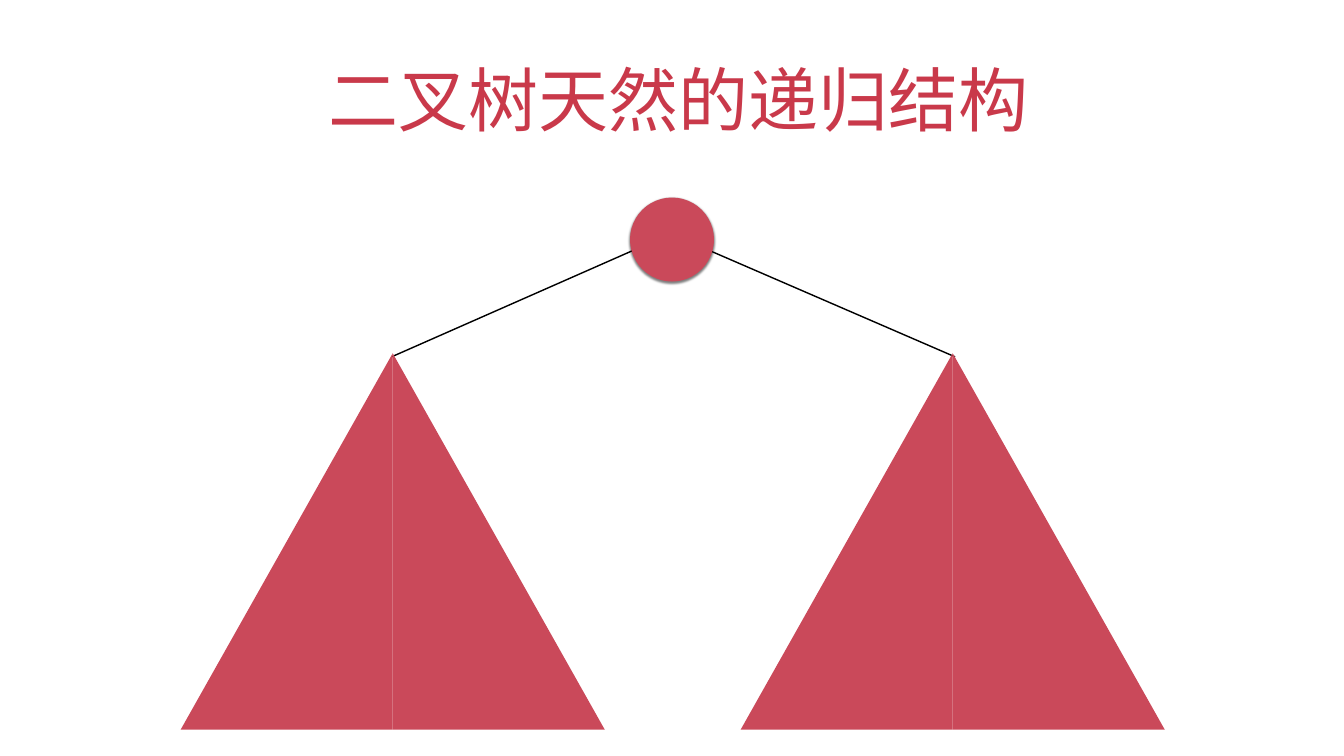
from dataclasses import dataclass

from lxml.etree import SubElement
from pptx import Presentation
from pptx.dml.color import RGBColor
from pptx.enum.shapes import MSO_CONNECTOR, MSO_SHAPE
from pptx.enum.text import MSO_ANCHOR, MSO_AUTO_SIZE, PP_ALIGN
from pptx.oxml.ns import qn
from pptx.util import Pt


@dataclass(frozen=True)
class Theme:
    """Colours, font and type size of the slide."""

    title: RGBColor = RGBColor(0xC9, 0x39, 0x4A)
    node: RGBColor = RGBColor(0xCA, 0x49, 0x5A)
    edge: RGBColor = RGBColor(0, 0, 0)
    font: str = "Arial"
    title_size: int = 100


THEME = Theme()
SUBTREE_TOP = 504.7
SUBTREE_HEIGHT = 537.8
SUBTREE_HALF_WIDTH = 303


def fill_title(page, text):
    """Place and format the title placeholder."""
    box = page.shapes.title
    box.left, box.top, box.width, box.height = Pt(140), Pt(44.6), Pt(1640), Pt(160)
    frame = box.text_frame
    frame.text = text
    frame.word_wrap = True
    frame.auto_size = MSO_AUTO_SIZE.NONE
    frame.vertical_anchor = MSO_ANCHOR.BOTTOM
    frame.margin_left = frame.margin_right = Pt(4)
    frame.margin_top = frame.margin_bottom = Pt(4)
    para = frame.paragraphs[0]
    para.alignment = PP_ALIGN.CENTER
    para.line_spacing = 1.0
    properties = para._p.get_or_add_pPr()
    properties.set("marL", "0")
    properties.set("indent", str(Pt(18)))
    font = para.runs[0].font
    font.name = THEME.font
    font.size = Pt(THEME.title_size)
    font.bold = False
    font.color.rgb = THEME.title


def paint(shape):
    """Give a shape the node colour without outline or shadow."""
    shape.shadow.inherit = False
    shape.fill.solid()
    shape.fill.fore_color.rgb = THEME.node
    shape.line.fill.background()


def add_edge(page, start, end):
    """Draw a tree edge between two points."""
    edge = page.shapes.add_connector(
        MSO_CONNECTOR.STRAIGHT, *(Pt(value) for value in (*start, *end))
    )
    edge.line.color.rgb = THEME.edge
    edge.line.width = Pt(2)
    SubElement(edge._element.spPr, qn("a:effectLst"))


def add_root(page, left, top, diameter):
    """Draw the root node with a soft shadow below it."""
    root = page.shapes.add_shape(
        MSO_SHAPE.OVAL, Pt(left), Pt(top), Pt(diameter), Pt(diameter)
    )
    paint(root)
    effects = root._element.spPr.find(qn("a:effectLst"))
    shadow = SubElement(
        effects, qn("a:outerShdw"), blurRad=str(Pt(3)), dist=str(Pt(2)),
        dir="5400000", rotWithShape="0",
    )
    color = SubElement(shadow, qn("a:srgbClr"), val="000000")
    SubElement(color, qn("a:alpha"), val="50000")


def add_subtree_half(page, apex, side):
    """Draw one right triangle, left (-1) or right (1) of the apex."""
    bottom = Pt(SUBTREE_TOP + SUBTREE_HEIGHT)
    builder = page.shapes.build_freeform(Pt(apex), Pt(SUBTREE_TOP))
    builder.add_line_segments(
        [(Pt(apex), bottom), (Pt(apex + side * SUBTREE_HALF_WIDTH), bottom)]
    )
    paint(builder.convert_to_shape())


def main():
    """Build the slide and save it."""
    deck = Presentation()
    deck.slide_width, deck.slide_height = Pt(1920), Pt(1080)
    page = deck.slides.add_slide(deck.slide_layouts[0])
    subtitle = page.placeholders[1]._element
    subtitle.getparent().remove(subtitle)
    fill_title(page, "二叉树天然的递归结构")
    add_edge(page, (1364.4, 509.8), (963.4, 336.2))
    add_edge(page, (559.4, 509.8), (953.3, 336.2))
    add_root(page, 900, 282.2, 120)
    for apex in (1361, 561):
        for side in (-1, 1):
            add_subtree_half(page, apex, side)
    deck.save("out.pptx")


if __name__ == "__main__":
    main()
